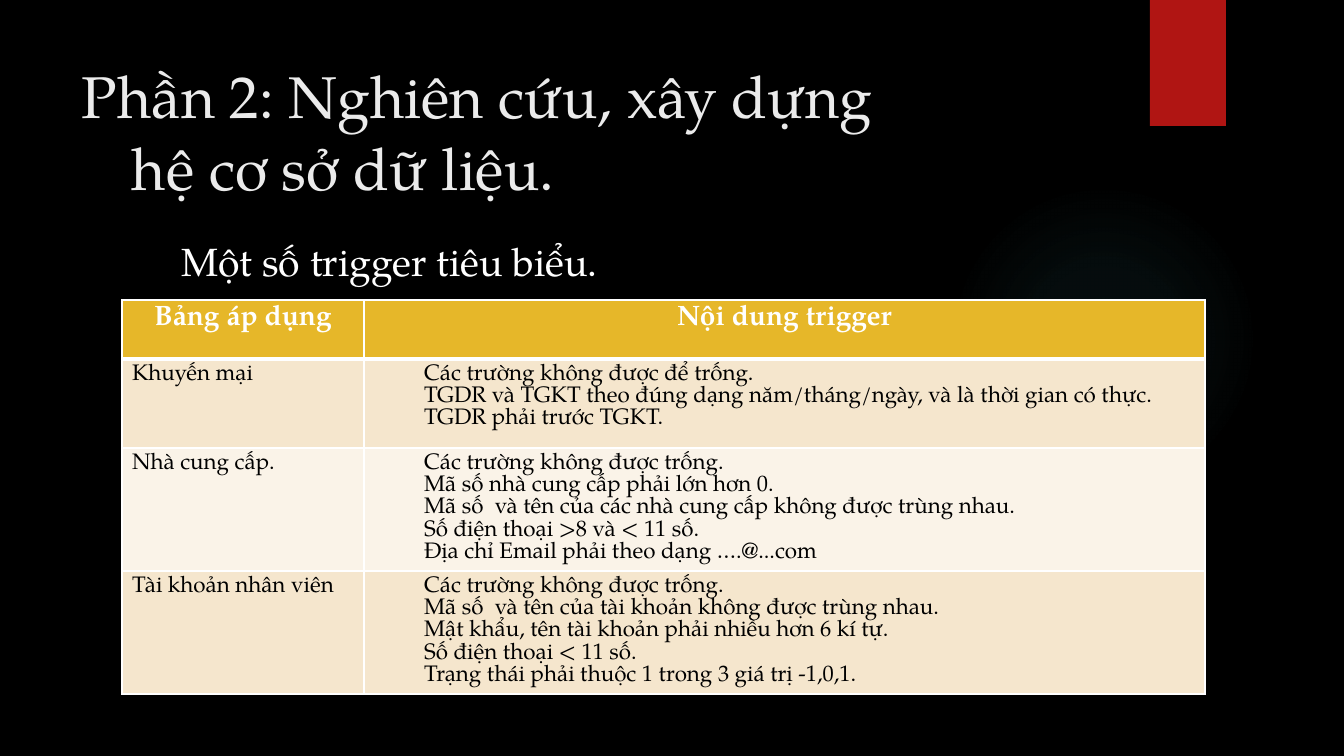
import pptx
import pptx.util
import pptx.dml.color
import pptx.enum.shapes
import pptx.enum.text
import pptx.oxml
import pptx.oxml.ns

SCALE = 12192000 / 1344  # EMU per px
FONT = "TeX Gyre Pagella"
NAMESPACE = pptx.oxml.ns.nsdecls("a")
Pt = pptx.util.Pt
ALIGN = pptx.enum.text.PP_ALIGN
SHAPES = pptx.enum.shapes.MSO_SHAPE


def px(*lengths):
    return [pptx.util.Emu(round(length * SCALE)) for length in lengths]


def style(para, size, color, spacing, indent=0, hanging=0):
    para.font.name = FONT
    para.font.size = Pt(size)
    para.font.color.rgb = pptx.dml.color.RGBColor.from_string(color)
    para.line_spacing = Pt(spacing)
    margin, first = px(indent, -hanging)
    properties = para._p.get_or_add_pPr()
    properties.set("marL", str(margin))
    properties.set("indent", str(first))


deck = pptx.Presentation()
deck.slide_width, deck.slide_height = px(1344, 756)
page = deck.slides.add_slide(deck.slide_layouts[6])
page.background.fill.solid()
page.background.fill.fore_color.rgb = pptx.dml.color.RGBColor.from_string("000000")

# Soft glow, fading from its centre
glow = page.shapes.add_shape(SHAPES.OVAL, *px(949, 184, 310, 310))
glow.shadow.inherit = False
glow.line.fill.background()
stops = "".join(
    f'<a:gs pos="{position}000"><a:srgbClr val="50B9C1"><a:alpha val="{alpha}000"/></a:srgbClr></a:gs>'
    for position, alpha in [(0, 7), (36, 6), (69, 0), (100, 0)])
gradient = pptx.oxml.parse_xml(
    f'<a:gradFill {NAMESPACE}><a:gsLst>{stops}</a:gsLst><a:path path="circle">'
    '<a:fillToRect l="50000" t="50000" r="50000" b="50000"/></a:path></a:gradFill>')
glow._element.spPr.insert(2, gradient)

# Red ribbon
ribbon = page.shapes.add_shape(SHAPES.RECTANGLE, *px(1150, 0, 76, 126))
ribbon.shadow.inherit = False
ribbon.line.fill.background()
ribbon.fill.solid()
ribbon.fill.fore_color.rgb = pptx.dml.color.RGBColor.from_string("B01513")

# Title and subtitle
headings = [
    ("Phần 2: Nghiên cứu, xây dựng\vhệ cơ sở dữ liệu.", (72, 54, 1037, 154), 42, "EBEBEB", 51, 50, 50),
    ("Một số trigger tiêu biểu.", (122, 232, 986, 60), 28, "FFFFFF", 34, 50, 0),
]
for text, place, size, color, spacing, indent, hanging in headings:
    box = page.shapes.add_textbox(*px(*place))
    box.text_frame.word_wrap = True
    box.text_frame.text = text
    style(box.text_frame.paragraphs[0], size, color, spacing, indent, hanging)

# Trigger table
rows = [
    ("Bảng áp dụng", ["Nội dung trigger"]),
    ("Khuyến mại", [
        "Các trường không được để trống.",
        "TGDR và TGKT theo đúng dạng năm/tháng/ngày, và là thời gian có thực.",
        "TGDR phải trước TGKT."]),
    ("Nhà cung cấp.", [
        "Các trường không được trống.",
        "Mã số nhà cung cấp phải lớn hơn 0.",
        "Mã số  và tên của các nhà cung cấp không được trùng nhau.",
        "Số điện thoại >8 và < 11 số.",
        "Địa chỉ Email phải theo dạng ….@...com"]),
    ("Tài khoản nhân viên", [
        "Các trường không được trống.",
        "Mã số  và tên của tài khoản không được trùng nhau.",
        "Mật khẩu, tên tài khoản phải nhiều hơn 6 kí tự.",
        "Số điện thoại < 11 số.",
        "Trạng thái phải thuộc 1 trong 3 giá trị -1,0,1."]),
]
heights = [59, 89, 123, 123]
fills = ["E6B729", "F5E6CD", "FAF3E8", "F5E6CD"]
table = page.shapes.add_table(4, 2, *px(122, 300, 1083, sum(heights))).table
for column, width in zip(table.columns, px(242, 841)):
    column.width = width

for row, (name, rules) in enumerate(rows):
    table.rows[row].height = px(heights[row])[0]
    header = row == 0
    for column, lines in enumerate([[name], rules]):
        cell = table.cell(row, column)
        for side in "LRTB":
            thick = (side == "B" and row == 0) or (side == "T" and row == 1)
            cell._tc.get_or_add_tcPr().append(pptx.oxml.parse_xml(
                f'<a:ln{side} {NAMESPACE} w="{Pt(3 if thick else 1)}"><a:solidFill>'
                f'<a:srgbClr val="FFFFFF"/></a:solidFill></a:ln{side}>'))
        cell.fill.solid()
        cell.fill.fore_color.rgb = pptx.dml.color.RGBColor.from_string(fills[row])
        cell.text = "\n".join(lines)
        for para in cell.text_frame.paragraphs:
            size = 20 if header else 16
            style(para, size, "FFFFFF" if header else "000000", size,
                  50 if column and not header else 0)
            para.font.bold = header
            para.alignment = ALIGN.CENTER if header else ALIGN.LEFT

deck.save("out.pptx")
